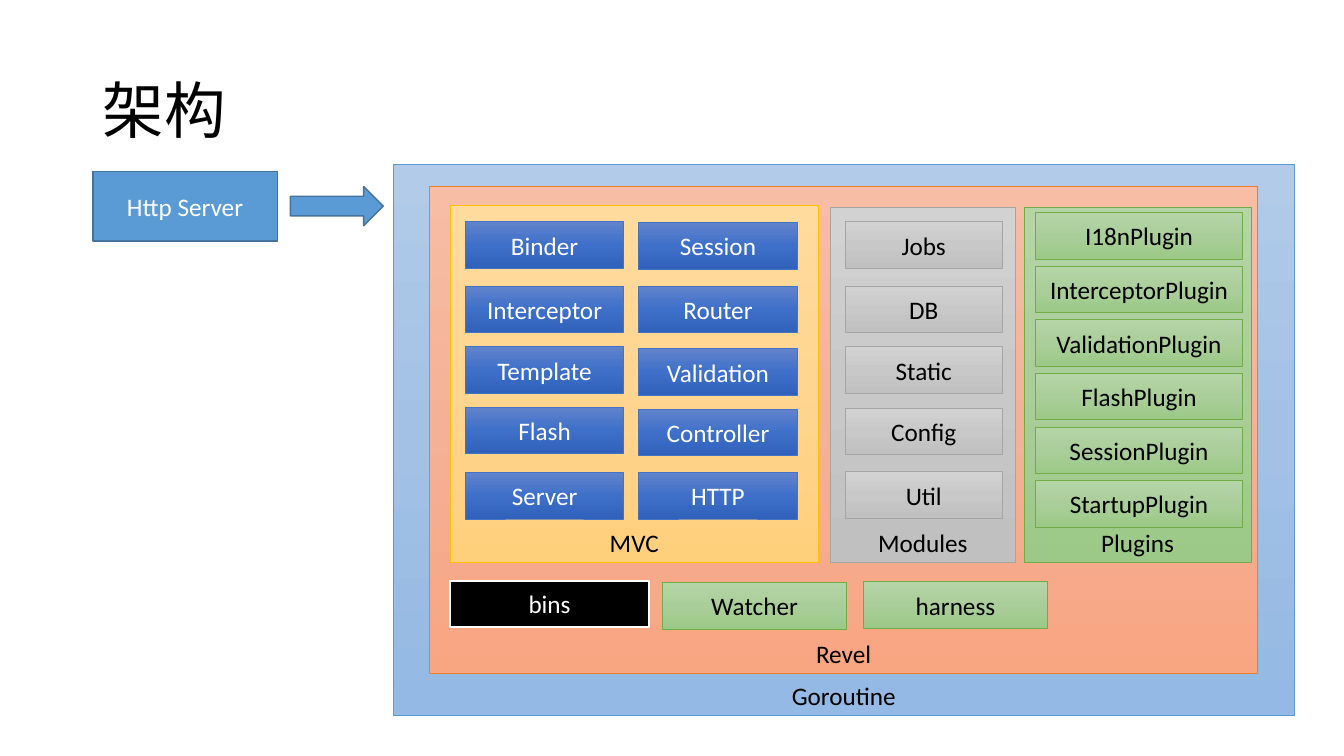
from copy import deepcopy
from dataclasses import dataclass

from pptx import Presentation
from pptx.dml.color import RGBColor
from pptx.enum.shapes import MSO_SHAPE as Preset
from pptx.enum.text import MSO_ANCHOR as Anchor, PP_ALIGN as Align
from pptx.shapes.autoshape import Shape
from pptx.slide import Slide
from pptx.text.text import TextFrame
from pptx.util import Cm, Pt


@dataclass(frozen=True)
class Style:
    fill: tuple[str, ...]  # one colour is solid, several run from top to bottom
    line: str
    text: str = "000000"
    line_width: float = 0.5


@dataclass(frozen=True)
class Theme:
    font: str = "Calibri"
    title_size: int = 44
    label_size: int = 18
    title_color: str = "000000"
    accent: Style = Style(("5B9BD5",), "43739E", "FFFFFF", 1)
    blue: Style = Style(("B1CBE9", "A3C1E5", "93B9E4"), "5B9BD5")
    orange: Style = Style(("F7BDA5", "F5B196", "F8A582"), "ED7D31")
    gold: Style = Style(("FFDB9E", "FFD590", "FFD07C"), "FFC000")
    navy: Style = Style(("6183CB", "3E70CA", "3062BB"), "4472C4", "FFFFFF")
    gray: Style = Style(("D2D2D2", "C8C8C8", "C0C0C0"), "A5A5A5")
    green: Style = Style(("B5D5A7", "AACE9A", "9CC987"), "70AD47")
    black: Style = Style(("000000",), "FFFFFF", "FFFFFF", 1.5)


@dataclass(frozen=True)
class Box:
    label: str
    left: float
    top: float
    width: float
    height: float
    style: Style
    anchor: Anchor = Anchor.MIDDLE
    preset: Preset = Preset.RECTANGLE


@dataclass(frozen=True)
class Column:
    labels: tuple[str, ...]
    left: float
    width: float
    tops: tuple[float, ...]
    style: Style


THEME = Theme()
BLOCK_HEIGHT = 1.17
PLUGIN_TOP, PLUGIN_PITCH = 5.36, 1.35

ENTRY = (
    Box("Http Server", 2.34, 4.32, 4.65, 1.75, THEME.accent),
    Box("", 7.32, 4.7, 2.34, 0.99, THEME.accent, preset=Preset.RIGHT_ARROW),
)

# Nested containers, outermost first
CONTAINERS = (
    Box("Goroutine", 9.91, 4.14, 22.71, 13.89, THEME.blue, Anchor.BOTTOM),
    Box("Revel", 10.82, 4.7, 20.88, 12.27, THEME.orange, Anchor.BOTTOM),
    Box("Plugins", 25.81, 5.23, 5.72, 8.94, THEME.green, Anchor.BOTTOM),
    Box("Modules", 20.93, 5.23, 4.65, 8.94, THEME.gray, Anchor.BOTTOM),
    Box("MVC", 11.35, 5.18, 9.27, 8.99, THEME.gold, Anchor.BOTTOM),
)

TOOLS = (
    Box("bins", 11.35, 14.63, 5, BLOCK_HEIGHT, THEME.black),
    Box("Watcher", 16.69, 14.68, 4.65, BLOCK_HEIGHT, THEME.green),
    Box("harness", 21.77, 14.66, 4.62, BLOCK_HEIGHT, THEME.green),
)

COLUMNS = (
    Column(("Binder", "Interceptor", "Template", "Flash", "Server"),
           11.73, 3.99, (5.59, 7.21, 8.74, 10.26, 11.91), THEME.navy),
    Column(("Session", "Router", "Validation", "Controller", "HTTP"),
           16.1, 3.99, (5.61, 7.21, 8.79, 10.31, 11.91), THEME.navy),
    Column(("Jobs", "DB", "Static", "Config", "Util"),
           21.3, 3.96, (5.59, 7.21, 8.74, 10.29, 11.89), THEME.gray),
    Column(("I18nPlugin", "InterceptorPlugin", "ValidationPlugin",
            "FlashPlugin", "SessionPlugin", "StartupPlugin"),
           26.09, 5.23,
           tuple(PLUGIN_TOP + row * PLUGIN_PITCH for row in range(6)), THEME.green),
)


def write(frame: TextFrame, text: str, *, size: int, color: str,
          align: Align = Align.LEFT, anchor: Anchor = Anchor.MIDDLE,
          spacing: float | None = None) -> None:
    frame.word_wrap = True
    frame.vertical_anchor = anchor
    paragraph = frame.paragraphs[0]
    paragraph.alignment = align
    paragraph.line_spacing = spacing
    run = paragraph.add_run()
    run.text = text
    run.font.name = THEME.font
    run.font.size = Pt(size)
    run.font.color.rgb = RGBColor.from_string(color)


def paint(shape: Shape, style: Style) -> None:
    shape.shadow.inherit = False
    shape.line.color.rgb = RGBColor.from_string(style.line)
    shape.line.width = Pt(style.line_width)
    fill = shape.fill
    if len(style.fill) == 1:
        fill.solid()
        fill.fore_color.rgb = RGBColor.from_string(style.fill[0])
        return
    fill.gradient()
    fill.gradient_angle = 270
    # The default gradient has two stops; add the middle one
    stop_list = shape._element.spPr.find(".//{*}gsLst")
    stop_list.insert(1, deepcopy(stop_list[0]))
    for index, (stop, color) in enumerate(zip(fill.gradient_stops, style.fill)):
        stop.position = index / (len(style.fill) - 1)
        stop.color.rgb = RGBColor.from_string(color)


def draw_box(slide: Slide, box: Box) -> None:
    shape = slide.shapes.add_shape(box.preset, Cm(box.left), Cm(box.top),
                                   Cm(box.width), Cm(box.height))
    paint(shape, box.style)
    if box.label:
        write(shape.text_frame, box.label, size=THEME.label_size,
              color=box.style.text, align=Align.CENTER, anchor=box.anchor)


def draw_column(slide: Slide, column: Column) -> None:
    for label, top in zip(column.labels, column.tops):
        draw_box(slide, Box(label, column.left, top, column.width,
                            BLOCK_HEIGHT, column.style))


def main() -> None:
    deck = Presentation()
    deck.slide_width, deck.slide_height = Cm(33.87), Cm(19.05)
    slide = deck.slides.add_slide(deck.slide_layouts[6])

    # Title
    title = slide.shapes.add_textbox(Cm(2.34), Cm(1.02), Cm(29.21), Cm(3.68))
    write(title.text_frame, "架构", size=THEME.title_size,
          color=THEME.title_color, spacing=0.9)

    # Architecture
    for box in ENTRY + CONTAINERS + TOOLS:
        draw_box(slide, box)
    for column in COLUMNS:
        draw_column(slide, column)

    deck.save("out.pptx")


if __name__ == "__main__":
    main()
